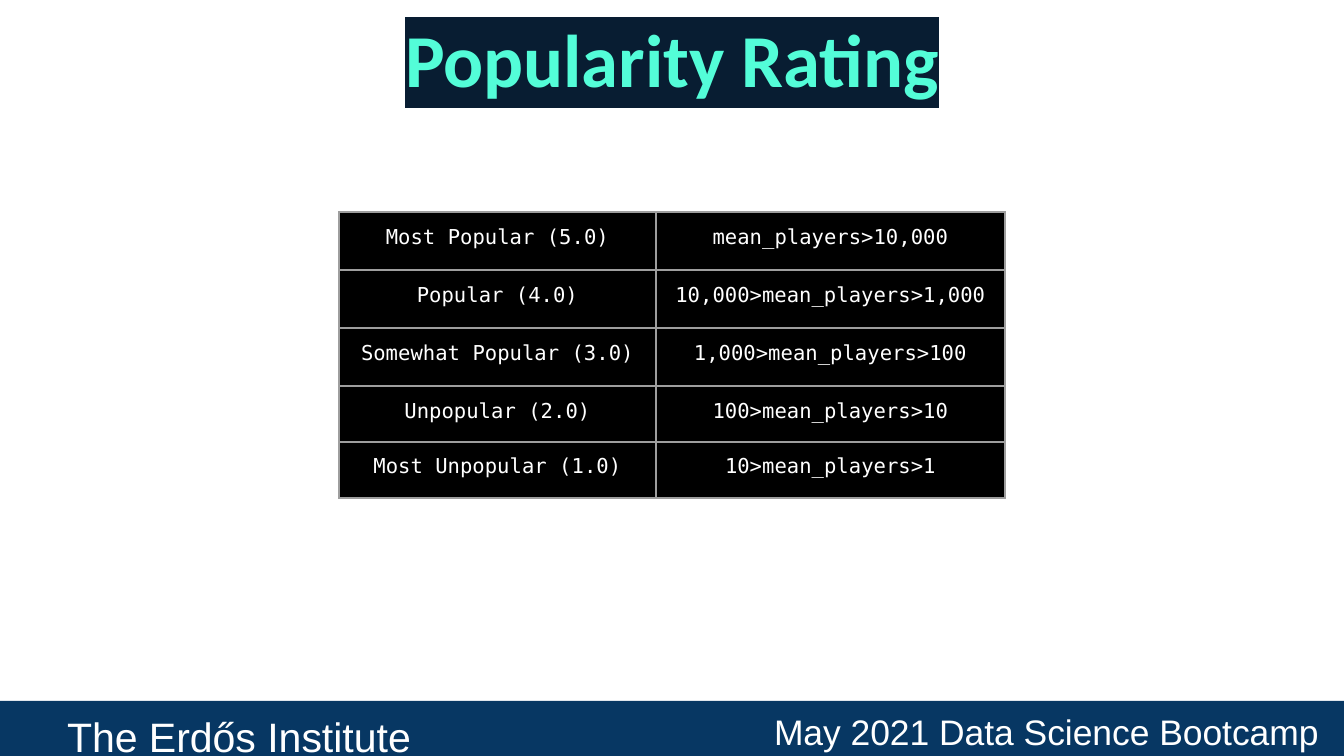
from lxml.etree import SubElement
from pptx import Presentation
from pptx.dml.color import RGBColor
from pptx.enum.shapes import MSO_SHAPE
from pptx.enum.text import MSO_ANCHOR, MSO_AUTO_SIZE, PP_ALIGN
from pptx.oxml.ns import qn
from pptx.util import Pt

PX = 914400 / 134.4
COLORS = {
    "white": "FFFFFF",
    "footer": "073763",
    "title": "53FDD8",
    "highlight": "081D32",
    "cell": "000000",
    "border": "9E9E9E",
}
RATINGS = [
    ("Most Popular (5.0)", "mean_players>10,000"),
    ("Popular (4.0)", "10,000>mean_players>1,000"),
    ("Somewhat Popular (3.0)", "1,000>mean_players>100"),
    ("Unpopular (2.0)", "100>mean_players>10"),
    ("Most Unpopular (1.0)", "10>mean_players>1"),
]


def px(n):
    """Turn pixels into EMU."""
    return round(n * PX)


def rgb(name):
    """Look up a colour by name."""
    return RGBColor.from_string(COLORS[name])


def set_text(tf, text, font, size, color, bold=False):
    """Fill a text frame with one formatted paragraph and return it."""
    tf.text = text
    p = tf.paragraphs[0]
    f = p.runs[0].font
    f.name, f.size, f.bold = font, Pt(size), bold
    f.color.rgb = rgb(color)
    return p


def set_frame(tf):
    """Give a text frame its wrapping, anchor and margins."""
    tf.word_wrap = True
    tf.auto_size = MSO_AUTO_SIZE.NONE
    tf.vertical_anchor = MSO_ANCHOR.TOP
    tf.margin_left = tf.margin_right = tf.margin_top = px(13)
    tf.margin_bottom = 0


def add_title(s, x, y, w, h):
    """Place the highlighted title."""
    sp = s.shapes.title
    sp.left, sp.top, sp.width, sp.height = px(x), px(y), px(w), px(h)
    set_frame(sp.text_frame)
    p = set_text(sp.text_frame, "Popularity Rating", "Calibri", 40, "title", True)
    p.alignment = PP_ALIGN.CENTER
    rPr = p.runs[0].font._element
    hl = SubElement(rPr, qn("a:highlight"))
    SubElement(hl, qn("a:srgbClr"), val=COLORS["highlight"])
    rPr.find(qn("a:solidFill")).addnext(hl)


def set_borders(cell):
    """Draw a thin line on all four sides of a cell."""
    tcPr = cell._tc.get_or_add_tcPr()
    for i, side in enumerate(("a:lnL", "a:lnR", "a:lnT", "a:lnB")):
        ln = tcPr.makeelement(qn(side), {"w": str(Pt(0.75))})
        fill = SubElement(ln, qn("a:solidFill"))
        SubElement(fill, qn("a:srgbClr"), val=COLORS["border"])
        tcPr.insert(i, ln)


def add_ratings(s, x, y, widths, heights):
    """Place the table of ratings and player ranges."""
    frame = s.shapes.add_table(len(heights), len(widths), px(x), px(y),
                               px(sum(widths)), px(sum(heights)))
    table = frame.table
    table.first_row = table.horz_banding = False
    for col, w in zip(table.columns, widths):
        col.width = px(w)
    for row, h, texts in zip(table.rows, heights, RATINGS):
        row.height = px(h)
        for cell, text in zip(row.cells, texts):
            cell.margin_left = cell.margin_right = px(13)
            cell.margin_top = cell.margin_bottom = px(13)
            cell.fill.solid()
            cell.fill.fore_color.rgb = rgb("cell")
            p = set_text(cell.text_frame, text, "DejaVu Sans Mono", 11, "white")
            p.alignment = PP_ALIGN.CENTER
            set_borders(cell)


def add_footer(s, x, y, w, h):
    """Place the footer bar with its two labels."""
    bar = s.shapes.add_shape(MSO_SHAPE.RECTANGLE, px(x), px(y), px(w), px(h))
    bar.shadow.inherit = False
    bar.fill.solid()
    bar.fill.fore_color.rgb = rgb("footer")
    bar.line.fill.background()
    labels = [
        (55, 406, 77, "The Erdős Institute", 22),
        (762, 598, 70, "May 2021 Data Science Bootcamp", 19),
    ]
    for dx, width, height, text, size in labels:
        box = s.shapes.add_textbox(px(x + dx), px(y - 10), px(width), px(height))
        set_frame(box.text_frame)
        p = set_text(box.text_frame, text, "Arial", size, "white")
        p.line_spacing = 1.15


def main():
    """Build the slide and save it."""
    prs = Presentation()
    prs.slide_width, prs.slide_height = px(1344), px(756)
    s = prs.slides.add_slide(prs.slide_layouts[5])
    s.background.fill.solid()
    s.background.fill.fore_color.rgb = rgb("white")
    add_footer(s, -1, 701, 1345, 55)
    add_title(s, 0, 0, 1344, 110)
    add_ratings(s, 339, 212, [317, 349], [58, 58, 58, 56, 56])
    prs.save("out.pptx")


if __name__ == "__main__":
    main()
